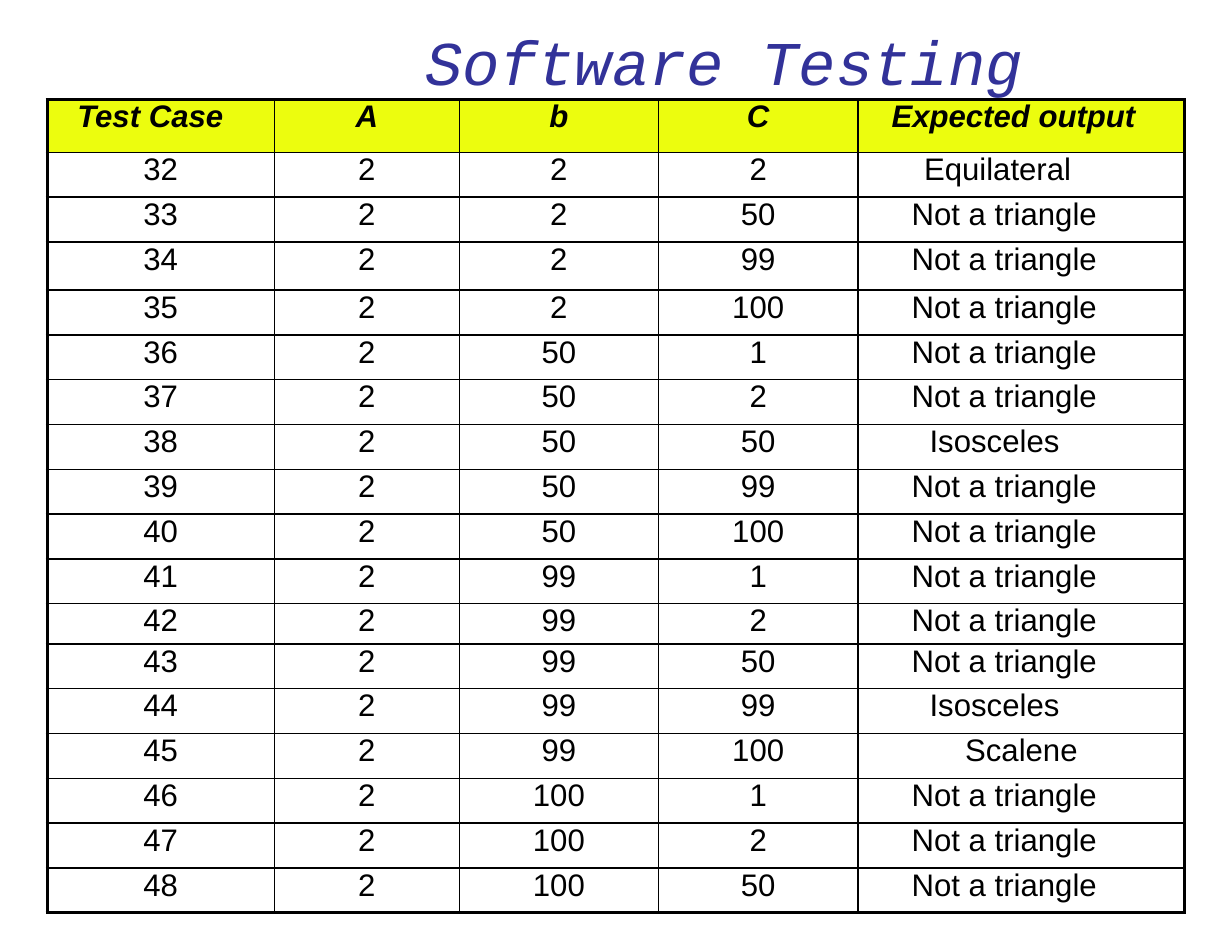
"""Build the Software Testing slide with its table of triangle test cases."""
from itertools import product

from lxml import etree
from pptx import Presentation
from pptx import util as u
from pptx.dml import color
from pptx.enum import text
from pptx.oxml import ns

COLORS = {"title": "323299", "text": "000000", "header": "ECFD0E", "border": "000000"}
INSETS = {"margin_left": 0, "margin_top": 0, "margin_right": 0, "margin_bottom": 0}
TITLE = {"name": "Courier New", "size": u.Pt(40), "italic": True}
HEADER = {"name": "Arial", "size": u.Pt(20), "bold": True, "italic": True}
BODY = {"name": "Arial", "size": u.Pt(20), "bold": False, "italic": False}
INDENTS = {"Test Case": 0.27, "Expected output": 0.3, "Equilateral": 0.59,
           "Not a triangle": 0.48, "Isosceles": 0.64, "Software Testing": 2.9}


def write(p, words, font, rgb):
    p.alignment = text.PP_ALIGN.CENTER
    if words in INDENTS:
        p.alignment = text.PP_ALIGN.LEFT
        pPr = p._p.get_or_add_pPr()
        pPr.set("marL", str(u.Inches(INDENTS[words])))
        pPr.set("indent", "0")
    r = p.add_run()
    r.text = words
    for key, value in font.items():
        setattr(r.font, key, value)
    r.font.color.rgb = color.RGBColor.from_string(rgb)


def add_border(cell, side, points):
    tcPr = cell._tc.get_or_add_tcPr()
    ln = etree.SubElement(tcPr, ns.qn(f"a:ln{side}"), w=str(u.Pt(points)))
    fill = etree.SubElement(ln, ns.qn("a:solidFill"))
    etree.SubElement(fill, ns.qn("a:srgbClr"), val=COLORS["border"])


prs = Presentation()
prs.slide_width, prs.slide_height = u.Inches(11), u.Inches(8.5)
s = prs.slides.add_slide(prs.slide_layouts[6])

sp = s.shapes.add_textbox(u.Inches(0.9), u.Inches(-0.02), u.Inches(9.16), u.Inches(0.91))
tf = sp.text_frame
for key, value in {**INSETS, "margin_top": u.Inches(0.23), "word_wrap": True}.items():
    setattr(tf, key, value)
write(tf.paragraphs[0], "Software Testing", TITLE, COLORS["title"])

rows = [["Test Case", "A", "b", "C", "Expected output"]]
a = 2
cases = list(product([2, 50, 99, 100], [1, 2, 50, 99, 100]))[1:18]
for number, (b, c) in enumerate(cases, 32):
    if 2 * max(a, b, c) >= a + b + c:
        output = "Not a triangle"
    else:
        output = {1: "Equilateral", 2: "Isosceles", 3: "Scalene"}[len({a, b, c})]
    rows.append([str(number), str(a), str(b), str(c), output])

widths = [2.03, 1.65, 1.78, 1.78, 2.92]
heights = {0: 0.47, 3: 0.43, 11: 0.36}
last_row, last_col = len(rows) - 1, len(widths) - 1
table = s.shapes.add_table(len(rows), len(widths), u.Inches(0.42), u.Inches(0.89),
                           u.Inches(10.17), u.Inches(7.28)).table
table.first_row = table.horz_banding = False
for j, width in enumerate(widths):
    table.columns[j].width = u.Inches(width)

for i, row in enumerate(rows):
    table.rows[i].height = u.Inches(heights.get(i, 0.4))
    for j, words in enumerate(row):
        cell = table.cell(i, j)
        for key, value in INSETS.items():
            setattr(cell, key, value)
        outer = {"L": j == 0, "R": j == last_col, "T": i == 0, "B": i == last_row}
        for side, is_outer in outer.items():
            add_border(cell, side, 2.25 if is_outer else 1)
        if i == 0:
            cell.fill.solid()
            cell.fill.fore_color.rgb = color.RGBColor.from_string(COLORS["header"])
        else:
            cell.fill.background()
        write(cell.text_frame.paragraphs[0], words, BODY if i else HEADER, COLORS["text"])

prs.save("out.pptx")
